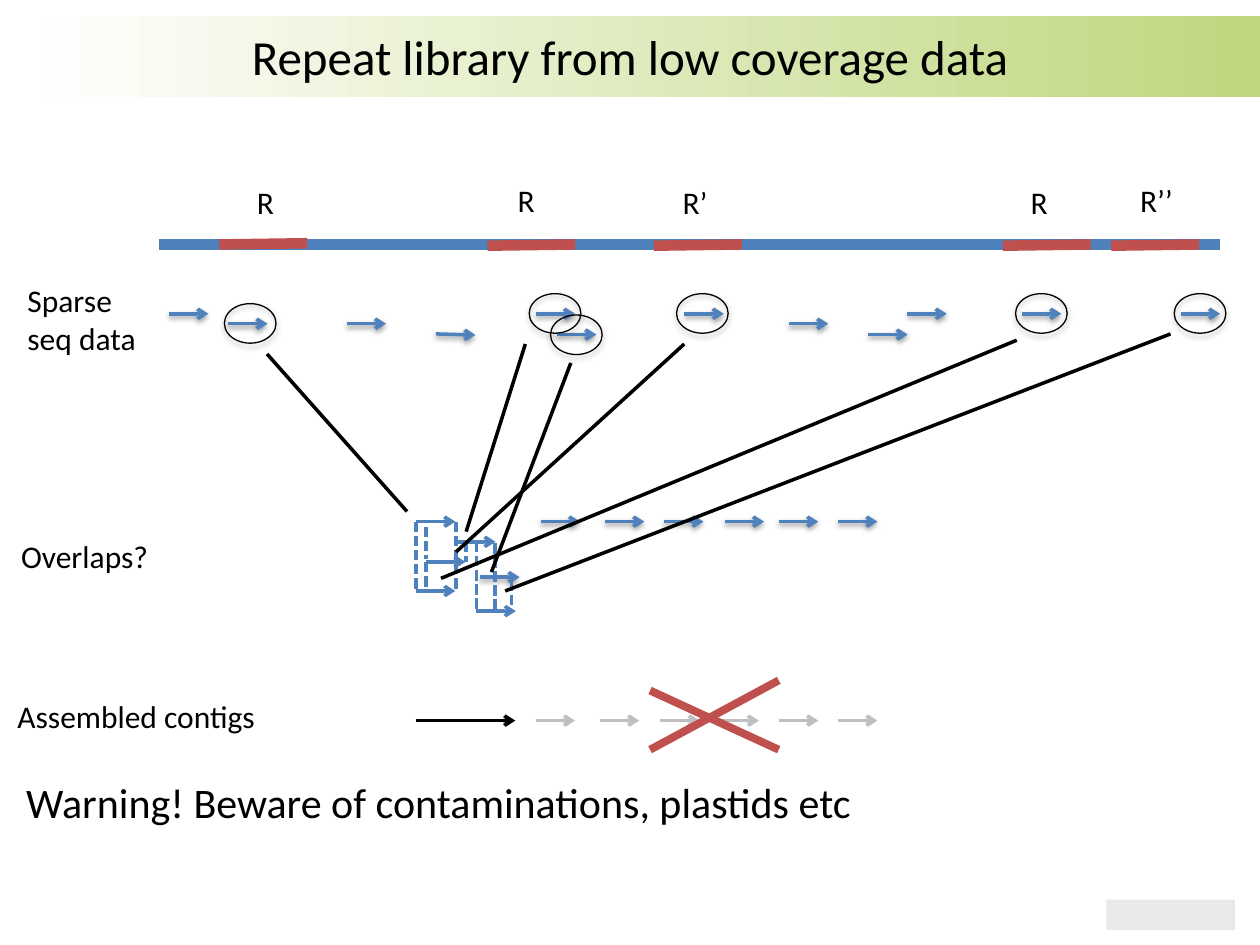
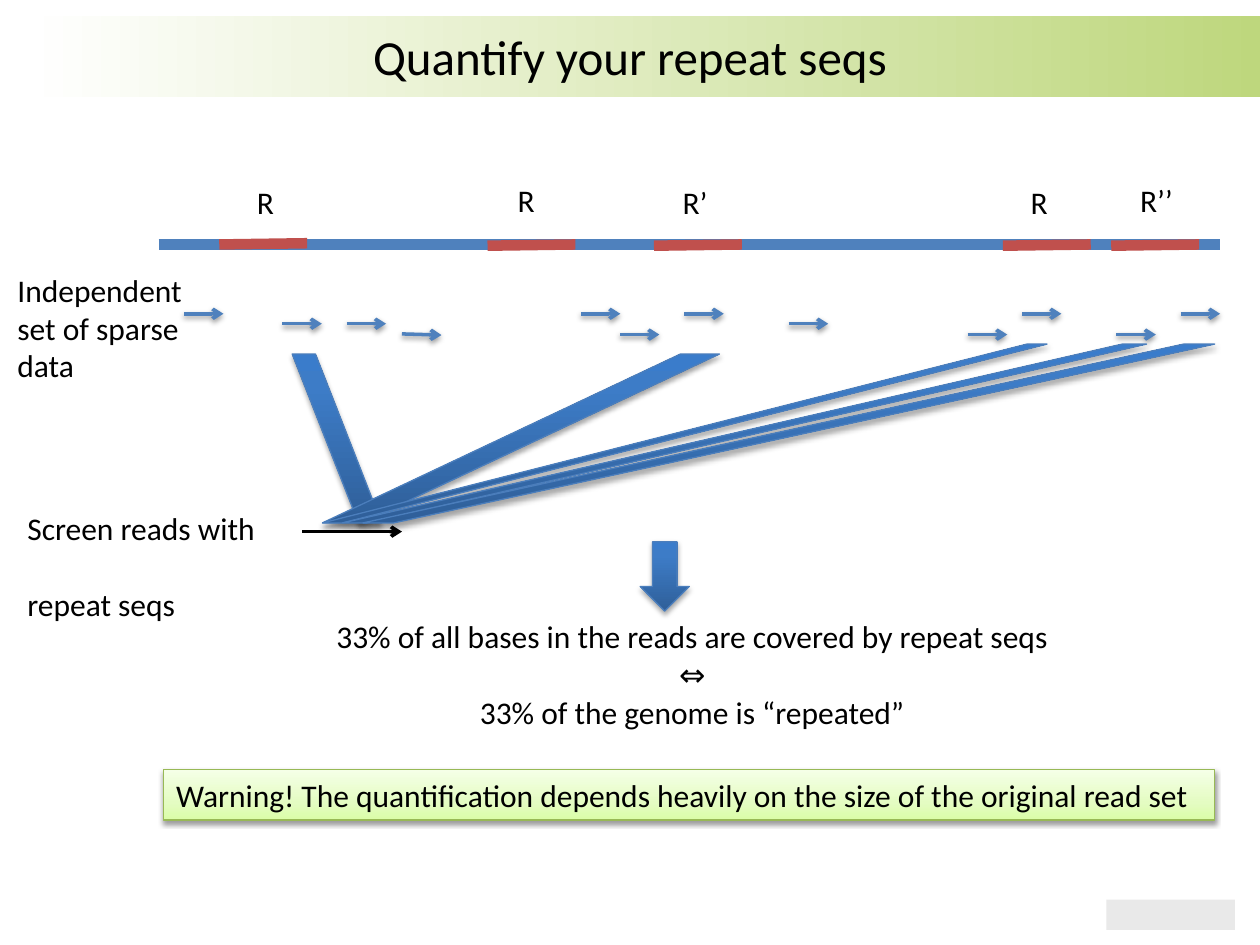
from typing import NamedTuple, Optional

from lxml import etree
from pptx import Presentation
from pptx.dml.color import RGBColor
from pptx.enum.dml import MSO_LINE
from pptx.enum.shapes import MSO_CONNECTOR, MSO_SHAPE as Preset
from pptx.enum.text import MSO_ANCHOR as Anchor, MSO_AUTO_SIZE as AutoSize, PP_ALIGN as Align
from pptx.oxml.ns import qn
from pptx.util import Pt

# Shared look
FONT = "Calibri"
BLACK = RGBColor(0x00, 0x00, 0x00)
WHITE = RGBColor(0xFF, 0xFF, 0xFF)
BLUE = RGBColor(0x4F, 0x81, 0xBD)
RED = RGBColor(0xC0, 0x50, 0x4D)
GREY = RGBColor(0xBF, 0xBF, 0xBF)
FOOTER_GREY = RGBColor(0xE9, 0xE9, 0xE9)
BAND_GREEN = RGBColor(0xBE, 0xD7, 0x7D)
STRIP_EDGE = RGBColor(0x4B, 0x7E, 0xBC)
NOTE_EDGE = RGBColor(0x98, 0xB9, 0x55)

BAND_STOPS = [(0, WHITE), (100, BAND_GREEN)]
STRIP_STOPS = [(0, RGBColor(0x2F, 0x5F, 0x99)), (80, RGBColor(0x3D, 0x7C, 0xC7)),
               (100, RGBColor(0x3A, 0x7C, 0xCB))]
NOTE_STOPS = [(0, RGBColor(0xDA, 0xFD, 0xA7)), (35, RGBColor(0xE4, 0xFC, 0xC2)),
              (100, RGBColor(0xF5, 0xFF, 0xE7))]


class Box(NamedTuple):
    x: float
    y: float
    w: float
    h: float


class Line(NamedTuple):
    x1: float
    y1: float
    x2: float
    y2: float


class Read(NamedTuple):
    x: float
    y: float
    rise: float = 0


class Label(NamedTuple):
    text: str
    box: Box


class Strip(NamedTuple):
    box: Box
    slant: float
    flip: bool = False


class Shadow(NamedTuple):
    alpha: int
    blur: float
    dist: float


LINE_SHADOW = Shadow(38, 3.1, 1.6)
SHAPE_SHADOW = Shadow(35, 3.1, 1.8)

# Genome bar with its repeats, and the reads both slides have
READ_LEN = 22.6
REPEAT_LEN = 50.2
HIGH, MID, LOW = 179.3, 185, 191.2
GENOME = Line(90.7, 139.7, 697, 139.7)
REPEATS = [Read(125.3, 139.7, -0.7)] + [
    Read(x, 140.4, -0.7) for x in (278.6, 373.7, 573.1, 635)]
REPEAT_LABELS = [
    Label("R", Box(139.7, 100.8, 24.5, 28.8)),
    Label("R", Box(288.7, 100.1, 24.5, 28.8)),
    Label("R’", Box(383, 100.8, 28.8, 28.8)),
    Label("R", Box(581.8, 100.8, 24.5, 28.8)),
    Label("R’’", Box(644.4, 100.1, 33.1, 28.8)),
]
COMMON_READS = [Read(198, MID), Read(391, HIGH), Read(450.7, MID),
                Read(583.9, HIGH), Read(674.6, HIGH)]

# Slide 1
SPARSE_READS = COMMON_READS + [
    Read(96.5, HIGH), Read(130.3, MID), Read(249.1, 190.8, 0.7), Read(306, HIGH),
    Read(496.1, LOW), Read(318.2, LOW), Read(518.4, HIGH)]
OVERLAP_READS = [Read(237.6, 298.1), Read(260.6, 309.6), Read(243.4, 321.1),
                 Read(237.6, 337.7), Read(272.2, 349.2)]
OVERLAP_EDGES = [
    (237.6, 298.1, 337.7), (260.6, 298.1, 337.7), (283, 310.3, 349.9),
    (272.2, 309.6, 349.2), (243.4, 321.1, 339.1), (243.4, 301, 319.7),
    (266.4, 309.6, 321.1), (292.3, 331.9, 349.2)]
SINGLE_READS_X = (308.9, 345.6, 379.4, 414, 445, 478.8)
LOST_CONTIGS_X = (306, 342.7, 377.3, 411.1, 445, 478.8)
CIRCLES = [(302.4, 167.8), (128.2, 173.5), (386.6, 167.8), (580.3, 167.8),
           (671, 167.8), (314.6, 180)]
LINKS = [
    Line(152.6, 202.3, 232.6, 292.3), Line(300.2, 196.6, 266.4, 303.8),
    Line(391, 196.6, 260.6, 315.4), Line(581, 194.4, 252, 330.5),
    Line(668.9, 190.8, 288.7, 337.7), Line(326.2, 207.4, 280.8, 326.9)]
CROSS = [Line(445, 388.8, 371.5, 428.4), Line(371.5, 394.6, 445, 428.4)]

# Slide 2
INDEPENDENT_READS = COMMON_READS + [
    Read(105.1, HIGH), Read(161.3, MID), Read(229.7, 190.8, 0.7), Read(331.9, HIGH),
    Read(637.9, LOW), Read(354.2, LOW), Read(553, LOW)]
STRIPS = [
    Strip(Box(167, 202.3, 51.1, 96.5), 0.74, flip=True),
    Strip(Box(184.3, 202.3, 226.8, 96.5), 2.12),
    Strip(Box(184.3, 196.6, 414, 102.2), 3.94),
    Strip(Box(195.8, 196.6, 459.4, 102.2), 4.36),
    Strip(Box(207.4, 196.6, 486.7, 102.2), 4.59),
]


def add_shadow(effects, shadow: Shadow) -> None:
    outer = etree.SubElement(
        effects, qn("a:outerShdw"), blurRad=str(Pt(shadow.blur)),
        dist=str(Pt(shadow.dist)), dir="5400000", rotWithShape="0")
    clr = etree.SubElement(outer, qn("a:srgbClr"), val=str(BLACK))
    etree.SubElement(clr, qn("a:alpha"), val=str(shadow.alpha * 1000))


def set_gradient(sp, stops: list, angle: float) -> None:
    sp.fill.gradient()
    sp.fill.gradient_angle = angle
    gs_list = sp._element.spPr.find(f".//{qn('a:gsLst')}")
    for gs in list(gs_list):
        gs_list.remove(gs)
    for pos, color in stops:
        gs = etree.SubElement(gs_list, qn("a:gs"), pos=str(pos * 1000))
        etree.SubElement(gs, qn("a:srgbClr"), val=str(color))


def add_shape(s, preset, box: Box, fill: Optional[RGBColor] = None,
              stops: Optional[list] = None, angle: float = 90,
              edge: Optional[RGBColor] = None, shadow: Optional[Shadow] = None):
    sp = s.shapes.add_shape(preset, *map(Pt, box))
    if stops:
        set_gradient(sp, stops, angle)
    elif fill is not None:
        sp.fill.solid()
        sp.fill.fore_color.rgb = fill
    else:
        sp.fill.background()
    if edge is not None:
        sp.line.color.rgb = edge
        sp.line.width = Pt(0.75)
    else:
        sp.line.fill.background()
    sp.shadow.inherit = False
    if shadow:
        add_shadow(sp._element.spPr.find(qn("a:effectLst")), shadow)
    return sp


def add_line(s, line: Line, color: RGBColor = BLACK, width: float = 2, arrow: bool = False,
             dashed: bool = False, shadow: Optional[Shadow] = None) -> None:
    cx = s.shapes.add_connector(MSO_CONNECTOR.STRAIGHT, *map(Pt, line))
    cx.line.color.rgb = color
    cx.line.width = Pt(width)
    if dashed:
        cx.line.dash_style = MSO_LINE.SQUARE_DOT
    spPr = cx._element.spPr
    if arrow:
        etree.SubElement(spPr.find(qn("a:ln")), qn("a:tailEnd"), type="arrow")
    effects = etree.SubElement(spPr, qn("a:effectLst"))
    if shadow:
        add_shadow(effects, shadow)


def add_read(s, read: Read, color: RGBColor = BLUE,
             shadow: Optional[Shadow] = LINE_SHADOW) -> None:
    line = Line(read.x, read.y, read.x + READ_LEN, read.y + read.rise)
    add_line(s, line, color, arrow=True, shadow=shadow)


def write(tf, text: str, size: float = 18, align=Align.LEFT, anchor=Anchor.TOP,
          gap: float = 0, wrap: bool = False) -> None:
    """Fill a text frame, one paragraph a line."""
    tf.word_wrap = wrap
    tf.auto_size = AutoSize.NONE if wrap else AutoSize.SHAPE_TO_FIT_TEXT
    tf.vertical_anchor = anchor
    for i, line in enumerate(text.split("\n")):
        p = tf.paragraphs[0] if i == 0 else tf.add_paragraph()
        p.alignment = align
        p.space_before = Pt(gap if i else 0)
        r = p.add_run()
        r.text = line
        r.font.name = FONT
        r.font.size = Pt(size)
        r.font.color.rgb = BLACK


def add_text(s, text: str, box: Box, **fmt) -> None:
    write(s.shapes.add_textbox(*map(Pt, box)).text_frame, text, **fmt)


def add_frame(prs, title: str):
    """New slide with footer block, title band and genome bar."""
    s = prs.slides.add_slide(prs.slide_layouts[6])
    add_shape(s, Preset.RECTANGLE, Box(632.2, 514.1, 73.4, 17.3), fill=FOOTER_GREY)
    add_shape(s, Preset.RECTANGLE, Box(14.4, 9.2, 705.6, 46.2), stops=BAND_STOPS, angle=0)
    add_text(s, title, Box(36, 9.4, 648, 45.4), size=28, align=Align.CENTER,
             anchor=Anchor.MIDDLE, wrap=True)
    add_line(s, GENOME, BLUE, 6)
    for x, y, rise in REPEATS:
        add_line(s, Line(x, y, x + REPEAT_LEN, y + rise), RED, 6)
    for label in REPEAT_LABELS:
        add_text(s, label.text, label.box)
    return s


def build_library_slide(prs) -> None:
    s = add_frame(prs, "Repeat library from low coverage data")
    # Reads
    for read in SPARSE_READS:
        add_read(s, read)
    for x in SINGLE_READS_X:
        add_read(s, Read(x, 298.1))
    # Overlapping stack
    for read in OVERLAP_READS:
        add_read(s, read, shadow=None)
    add_read(s, Read(274.3, 329.8))
    for x, top, bottom in OVERLAP_EDGES:
        add_line(s, Line(x, top, x, bottom), BLUE, dashed=True)
    # Circled repeat reads, linked to the stack
    for x, y in CIRCLES:
        add_shape(s, Preset.OVAL, Box(x, y, 29.5, 22.6), edge=BLACK, shadow=SHAPE_SHADOW)
    for link in LINKS:
        add_line(s, link)
    # Contigs: one kept, the rest crossed out
    add_line(s, Line(237.6, 411.8, 294.5, 411.8), arrow=True)
    for x in LOST_CONTIGS_X:
        add_read(s, Read(x, 411.8), GREY, shadow=None)
    for stroke in CROSS:
        add_line(s, stroke, RED, 4.5)
    # Row captions
    add_text(s, "Sparse\nseq data", Box(8.6, 157, 77.8, 51.1))
    add_text(s, "Overlaps?", Box(5, 303.1, 88.6, 28.8))
    add_text(s, "Assembled contigs", Box(2.9, 394.6, 151.9, 28.8))
    add_text(s, "Warning! Beware of contaminations, plastids etc",
             Box(7.9, 439.9, 493.2, 36), size=24)


def build_quantify_slide(prs) -> None:
    s = add_frame(prs, "Quantify your repeat seqs")
    for read in INDEPENDENT_READS:
        add_read(s, read)
    add_text(s, "Independent\nset of sparse\ndata", Box(2.9, 151.2, 110.9, 72.7))
    # Screening against the repeat sequence
    add_line(s, Line(172.8, 303.8, 229.7, 303.8), arrow=True)
    add_text(s, "Screen reads with\nrepeat seqs", Box(8.6, 287.3, 146.2, 51.1), gap=22)
    for strip in STRIPS:
        sp = add_shape(s, Preset.PARALLELOGRAM, strip.box, stops=STRIP_STOPS,
                       edge=STRIP_EDGE, shadow=SHAPE_SHADOW)
        sp.adjustments[0] = strip.slant
        if strip.flip:
            sp._element.spPr.find(qn("a:xfrm")).set("flipH", "1")
    # Result and warning
    add_text(s, "33% of all bases in the reads are covered by repeat seqs\n⇔\n"
                "33% of the genome is “repeated”",
             Box(184.3, 349.2, 422.6, 72.7), align=Align.CENTER)
    add_shape(s, Preset.DOWN_ARROW, Box(365.8, 309.6, 28.1, 39.6), stops=STRIP_STOPS,
              edge=STRIP_EDGE, shadow=SHAPE_SHADOW)
    note = add_shape(s, Preset.RECTANGLE, Box(93.6, 439.9, 600.5, 28.8), stops=NOTE_STOPS,
                     edge=NOTE_EDGE, shadow=LINE_SHADOW)
    write(note.text_frame,
          "Warning! The quantification depends heavily on the size of the original read set")


def main() -> None:
    prs = Presentation()
    prs.slide_width, prs.slide_height = Pt(720), Pt(540)
    build_library_slide(prs)
    build_quantify_slide(prs)
    prs.save("out.pptx")


if __name__ == "__main__":
    main()
